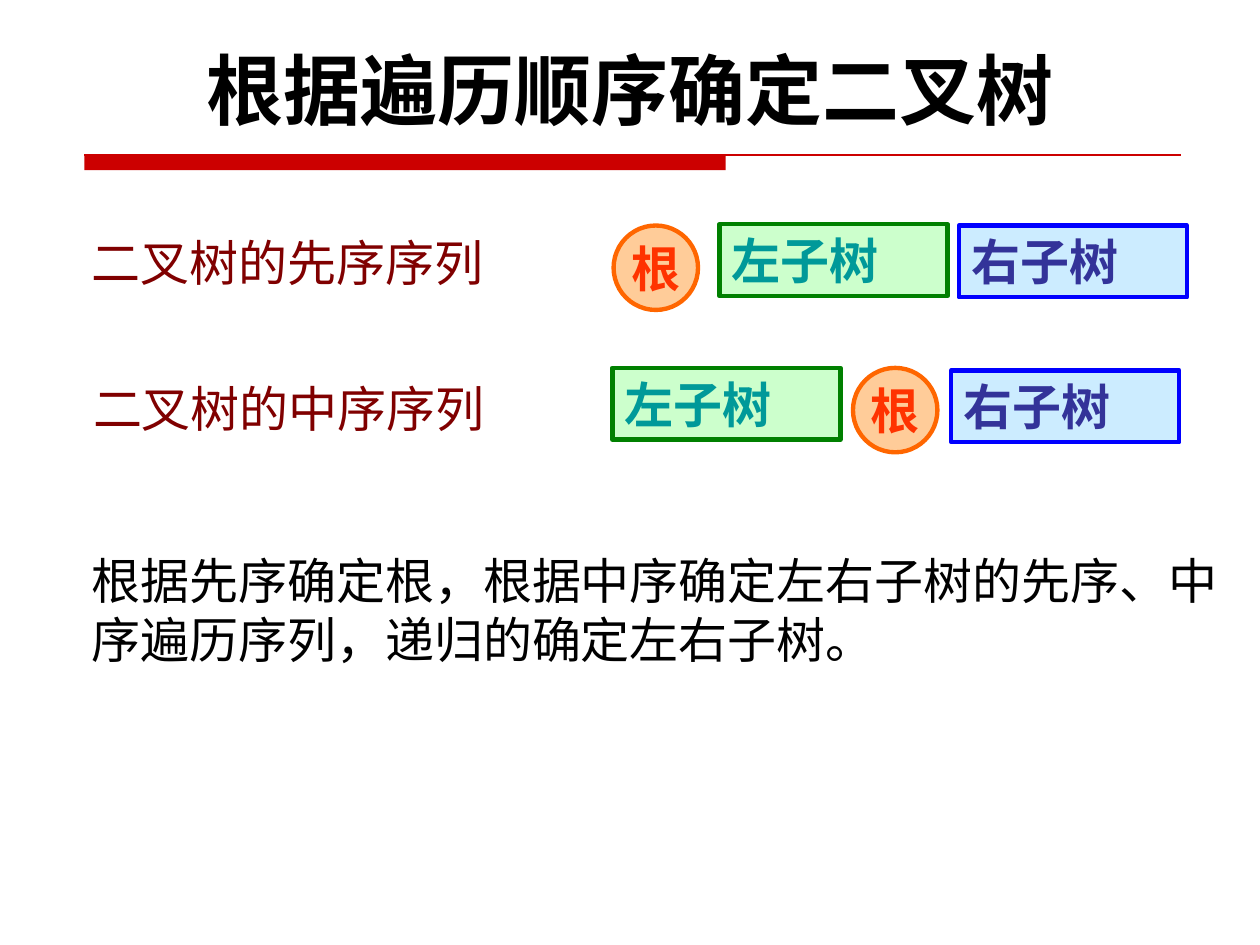
"""Builds a slide on determining a binary tree from its traversal sequences."""
from pptx import Presentation, util as u
from pptx.dml.color import RGBColor
from pptx.enum import shapes, text
from pptx.oxml.ns import qn
from lxml import etree

NOTO, TIMES, KARLA = "Noto Sans CJK SC", "Times New Roman", "Karla"
RED = "CC0000"
TITLE = "根据遍历顺序确定二叉树"
SUMMARY = "根据先序确定根，根据中序确定左右子树的先序、中序遍历序列，递归的确定左右子树。"
NODES = {
    "根": dict(fill="FFCC99", line="FF6600", color="FF3300", size=(0.67, 0.67)),
    "左子树": dict(fill="CCFFCC", line="008000", color="009999", size=(1.81, 0.57)),
    "右子树": dict(fill="CCECFF", line="0000FF", color="333399", size=(1.81, 0.57)),
}
SEQUENCES = [
    ("二叉树的先序序列", (0.63, 1.75), TIMES,
     [("左子树", 5.71, 1.78), ("右子树", 7.61, 1.79), ("根", 4.87, 1.79)]),
    ("二叉树的中序序列", (0.64, 2.91), NOTO,
     [("左子树", 4.86, 2.92), ("右子树", 7.55, 2.94), ("根", 6.77, 2.92)]),
]


def rgb(value):
    return RGBColor.from_string(value)


def inches(*values):
    return [u.Inches(value) for value in values]


def write(shape, words, font=NOTO, size=28, color="000000", bold=False,
          align=text.PP_ALIGN.LEFT, anchor=text.MSO_ANCHOR.TOP, wrap=True, spacing=None):
    frame = shape.text_frame
    frame.word_wrap = wrap
    frame.auto_size = text.MSO_AUTO_SIZE.NONE
    frame.vertical_anchor = anchor
    frame.margin_left = frame.margin_right = u.Inches(0.1)
    frame.margin_top = frame.margin_bottom = u.Inches(0.05)
    paragraph = frame.paragraphs[0]
    paragraph.alignment = align
    paragraph.line_spacing = spacing
    run = paragraph.add_run()
    run.text = words
    run.font.name, run.font.size, run.font.bold = font, u.Pt(size), bold
    run.font.color.rgb = rgb(color)
    etree.SubElement(run.font._element, qn("a:ea"), typeface=KARLA)


def add_filled(slide, kind, box, fill, line=None):
    shape = slide.shapes.add_shape(kind, *inches(*box))
    shape.shadow.inherit = False
    shape.fill.solid()
    shape.fill.fore_color.rgb = rgb(fill)
    if line:
        shape.line.color.rgb = rgb(line)
        shape.line.width = u.Pt(2.5)
    else:
        shape.line.fill.background()
    return shape


def add_rule(slide, left, top, bar_right, right):
    add_filled(slide, shapes.MSO_SHAPE.RECTANGLE, (left, top, bar_right - left, 0.12), RED)
    rule = slide.shapes.add_connector(
        shapes.MSO_CONNECTOR.STRAIGHT, *inches(left, top, right, top))
    rule.line.color.rgb = rgb(RED)
    rule.line.width = u.Pt(0.75)
    etree.SubElement(rule._element.spPr, qn("a:effectLst"))


def add_node(slide, name, left, top, font):
    style = NODES[name]
    root = name == "根"
    kind = shapes.MSO_SHAPE.OVAL if root else shapes.MSO_SHAPE.RECTANGLE
    node = add_filled(slide, kind, (left, top, *style["size"]), style["fill"], style["line"])
    layout = dict(align=text.PP_ALIGN.CENTER, anchor=text.MSO_ANCHOR.MIDDLE,
                  wrap=False) if root else {}
    write(node, name, font=font, color=style["color"], bold=True, **layout)


def main():
    deck = Presentation()
    deck.slide_width, deck.slide_height = inches(10, 7.5)
    slide = deck.slides.add_slide(deck.slide_layouts[5])
    title = slide.shapes.title
    title.left, title.top, title.width, title.height = inches(0.63, 0.29, 8.75, 0.74)
    write(title, TITLE, font=KARLA, size=44, bold=True, align=text.PP_ALIGN.CENTER)
    add_rule(slide, 0.67, 1.23, 5.76, 9.37)
    for label, corner, font, nodes in SEQUENCES:
        caption = slide.shapes.add_textbox(*inches(*corner, 4.67, 0.56))
        write(caption, label, color="800000", spacing=1.1)
        for name, left, top in nodes:
            add_node(slide, name, left, top, font)
    summary = slide.shapes.add_textbox(*inches(0.63, 4.32, 9.3, 1.04))
    write(summary, SUMMARY)
    deck.save("out.pptx")


if __name__ == "__main__":
    main()
